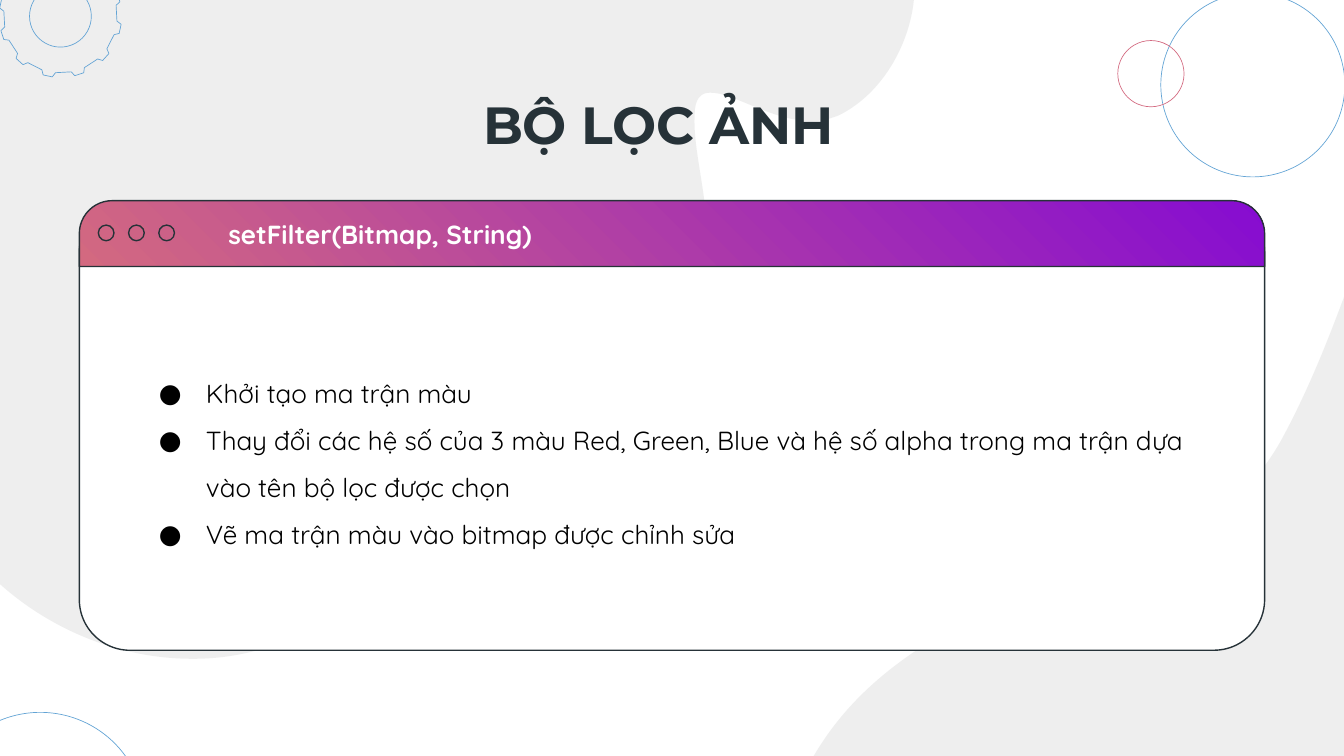
from math import cos, radians, sin

from lxml.etree import SubElement
from pptx import Presentation
from pptx.dml.color import RGBColor as RGB
from pptx.enum.shapes import MSO_SHAPE as Shape
from pptx.enum.text import MSO_ANCHOR as Anchor, PP_ALIGN as Align
from pptx.oxml.ns import qn
from pptx.util import Pt

# Content
TITLE = "BỘ LỌC ẢNH"
METHOD = "setFilter(Bitmap, String)"
STEPS = [
    "Khởi tạo ma trận màu",
    "Thay đổi các hệ số của 3 màu Red, Green, Blue và hệ số alpha trong ma trận "
    "dựa vào tên bộ lọc được chọn",
    "Vẽ ma trận màu vào bitmap được chỉnh sửa",
]

THEME = {
    "ink": RGB.from_string("263238"), "black": RGB.from_string("000000"),
    "white": RGB.from_string("FFFFFF"), "blob": RGB.from_string("D6D7D7"),
    "blue": RGB.from_string("63A4D5"), "pink": RGB.from_string("D36980"),
    "purple": RGB.from_string("860CD1"),
    "heading": "Montserrat", "text": "Quicksand",
    "title_size": Pt(28), "text_size": Pt(14),
    "hairline": Pt(0.36), "outline": Pt(0.75),
}
BLOB_OPACITY = 41

# Background blobs: a start, then lines (x, y) or cubic curves (two handles, end)
BLOBS = [
    [(110.9, 352.8),
     (148.3, 350.6, 181.4, 333.4, 198.7, 304.6),
     (228.2, 254.9, 221.8, 171.4, 254.2, 169.2),
     (282.2, 169.9, 298.1, 204.5, 324, 203),
     (331.9, 203, 341.3, 198.7, 352.1, 188.6),
     (398.2, 146.9, 370.1, 95, 372.2, 61.2),
     (372.2, 52.6, 375.8, 49.7, 380.2, 49.7),
     (392.4, 49, 415.4, 66.2, 437, 64.8),
     (441.4, 64.8, 445, 63.4, 449.3, 61.9),
     (481, 46.1, 493.9, 5.8, 488.9, -16.6),
     (483.8, -39.6, 498.2, -69.8, 498.2, -69.8),
     (-77.8, -38.2),
     (-77.8, -38.2, -78.5, 112.3, -58.3, 212.4),
     (-58.3, 212.4, -43.2, 290.2, 23.8, 330.5),
     (52.6, 347.8, 82.8, 354.2, 110.9, 352.8)],
    [(386.6, 511.2),
     (768.2, 599),
     (901.4, 18),
     (895.7, 18, 799.9, 16.6, 768.2, 54),
     (735.8, 93.6, 724.3, 166.3, 686.2, 236.2),
     (647.3, 305.3, 565.2, 303.8, 504.7, 339.8),
     (443.5, 375.8, 426.2, 415.4, 411.8, 465.8),
     (405.4, 487.4, 396, 501.1, 386.6, 511.2)],
]

# Thin circles: centre x, centre y, diameter, colour
RINGS = [
    (21.6, 437.8, 112.3, "blue"),
    (32.4, 8.7, 33.1, "blue"),
    (671.2, 45.5, 98.6, "blue"),
    (616.6, 39.5, 35.5, "pink"),
]

# Gear: centre, tooth count, and one tooth as (degrees from its middle, radius)
GEAR_CENTRE, GEAR_TEETH = (32.4, 8.7), 12
TOOTH = [(-7, 30.4), (-4.4, 32.8), (4.4, 32.8), (7, 30.4)]
FIRST_TOOTH = 12

# Window buttons: first left, top, size, pitch
BUTTON_LEFT, BUTTON_TOP, BUTTON_SIZE, BUTTON_PITCH = 52.7, 120.6, 8.4, 16.2

deck = Presentation()
deck.slide_width, deck.slide_height = Pt(720), Pt(405)
slide = deck.slides.add_slide(deck.slide_layouts[6])


def style(shape, fill=None, line=None, width="outline"):
    shape.shadow.inherit = False
    if fill:
        shape.fill.solid()
        shape.fill.fore_color.rgb = THEME[fill]
    else:
        shape.fill.background()
    if line:
        shape.line.color.rgb = THEME[line]
        shape.line.width = THEME[width]
    else:
        shape.line.fill.background()
    return shape


def add_preset(kind, box, **look):
    return style(slide.shapes.add_shape(kind, *map(Pt, box)), **look)


def add_outline(segments, **look):
    start, *ends = [(Pt(s[-2]), Pt(s[-1])) for s in segments]
    builder = slide.shapes.build_freeform(*start)
    builder.add_line_segments(ends, close=True)
    shape = builder.convert_to_shape()
    # Turn each segment that has handles into a cubic curve
    steps = list(shape._element.iter(qn("a:lnTo")))
    for step, segment in zip(steps, segments[1:]):
        if len(segment) == 6:
            step.tag = qn("a:cubicBezTo")
            for index in (0, 1):
                x, y = segment[2 * index:2 * index + 2]
                handle = SubElement(step, qn("a:pt"))
                handle.set("x", str(Pt(x) - shape.left))
                handle.set("y", str(Pt(y) - shape.top))
            step.append(step[0])
    return style(shape, **look)


def add_text(box, lines, font, anchor=Anchor.TOP, align=Align.LEFT, bullet=None):
    frame = slide.shapes.add_textbox(*map(Pt, box)).text_frame
    margins = dict.fromkeys(
        ("margin_left", "margin_right", "margin_top", "margin_bottom"), Pt(7.2))
    for name, value in {**margins, "word_wrap": True, "vertical_anchor": anchor}.items():
        setattr(frame, name, value)
    for index, line in enumerate(lines):
        paragraph = frame.add_paragraph() if index else frame.paragraphs[0]
        paragraph.alignment = align
        if bullet:
            paragraph.line_spacing = 1.5
            props = paragraph._p.get_or_add_pPr()
            props.set("marL", str(Pt(36)))
            props.set("indent", str(Pt(-25.2)))
            tint = SubElement(props, qn("a:buClr"))
            SubElement(tint, qn("a:srgbClr")).set("val", str(font["color"]))
            SubElement(props, qn("a:buFont")).set("typeface", font["name"])
            SubElement(props, qn("a:buChar")).set("char", bullet)
        run = paragraph.add_run()
        run.text = line
        for name, value in font.items():
            if name == "color":
                run.font.color.rgb = value
            else:
                setattr(run.font, name, value)


# Background
for outline in BLOBS:
    blob = add_outline(outline, fill="blob")
    tint = blob.fill._xPr.find(qn("a:solidFill"))[0]
    SubElement(tint, qn("a:alpha")).set("val", str(BLOB_OPACITY * 1000))

for x, y, size, colour in RINGS:
    add_preset(Shape.OVAL, (x - size / 2, y - size / 2, size, size),
               line=colour, width="hairline")

gear = []
for tooth in range(GEAR_TEETH):
    for offset, radius in TOOTH:
        angle = radians(FIRST_TOOTH + tooth * 360 / GEAR_TEETH + offset)
        gear.append((GEAR_CENTRE[0] + radius * cos(angle),
                     GEAR_CENTRE[1] + radius * sin(angle)))
add_outline(gear, line="blue", width="hairline")

# Title
add_text((56.2, 51.8, 593.3, 28.8), [TITLE],
         {"name": THEME["heading"], "size": THEME["title_size"],
          "color": THEME["ink"], "bold": True},
         anchor=Anchor.MIDDLE, align=Align.CENTER)

# Window
panel = add_preset(Shape.ROUNDED_RECTANGLE, (42.5, 107.8, 635, 240.6),
                   fill="white", line="ink")
panel.adjustments[0] = 0.113
bar = add_preset(Shape.ROUND_2_SAME_RECTANGLE, (42.5, 107.5, 635, 35.3), line="ink")
bar.adjustments[0], bar.adjustments[1] = 0.5, 0
bar.fill.gradient()
bar.fill.gradient_angle = 45
for stop, colour in zip(bar.fill.gradient_stops, ("pink", "purple")):
    stop.color.rgb = THEME[colour]
for index in range(3):
    add_preset(Shape.OVAL, (BUTTON_LEFT + index * BUTTON_PITCH, BUTTON_TOP,
                            BUTTON_SIZE, BUTTON_SIZE), line="ink")

# Steps and method name
body_font = {"name": THEME["text"], "size": THEME["text_size"]}
add_text((67.3, 186.5, 585.4, 108), STEPS, {**body_font, "color": THEME["black"]}, bullet="●")
add_text((115.2, 109.8, 253.4, 31.7), [METHOD],
         {**body_font, "color": THEME["white"], "bold": True})

deck.save("out.pptx")
